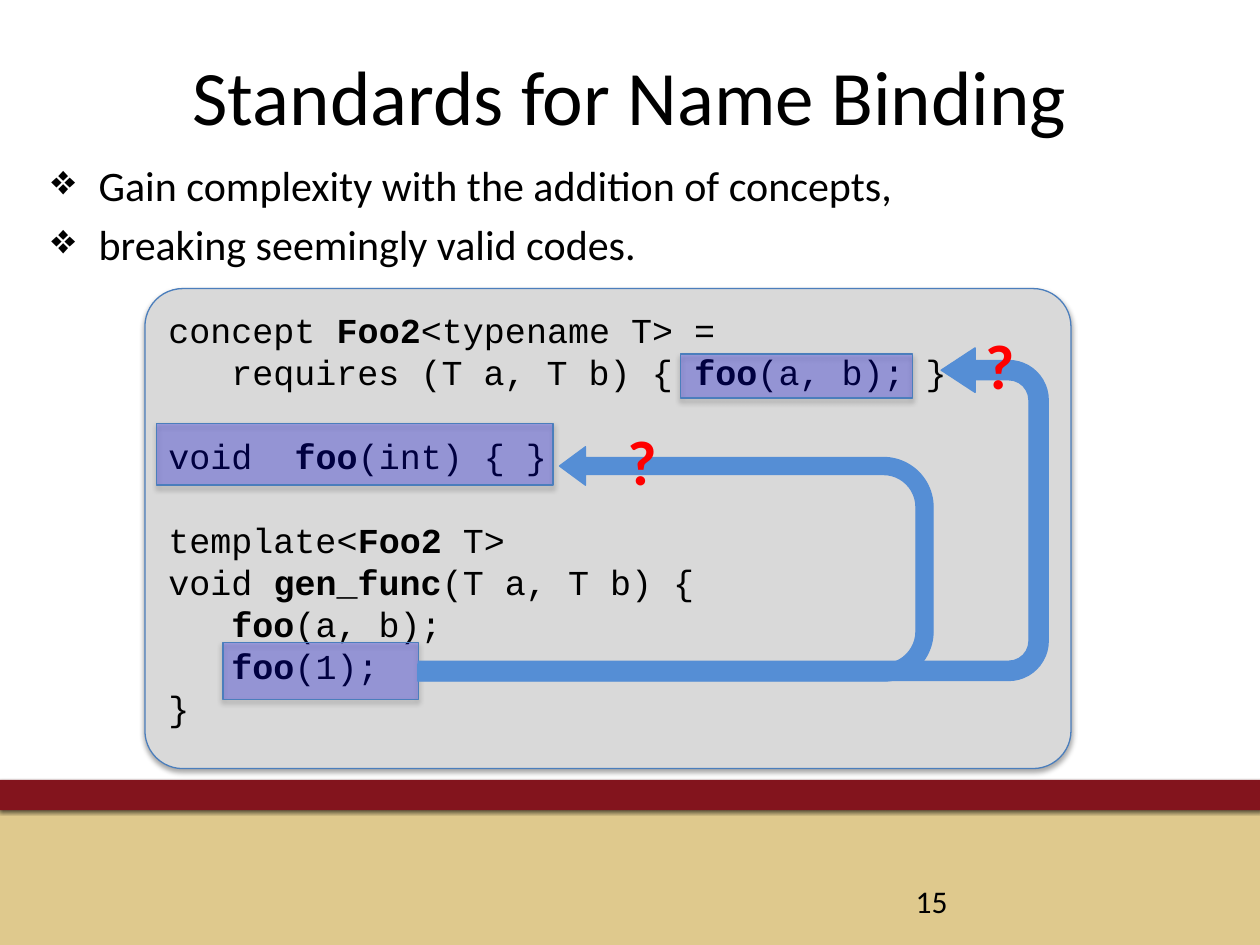
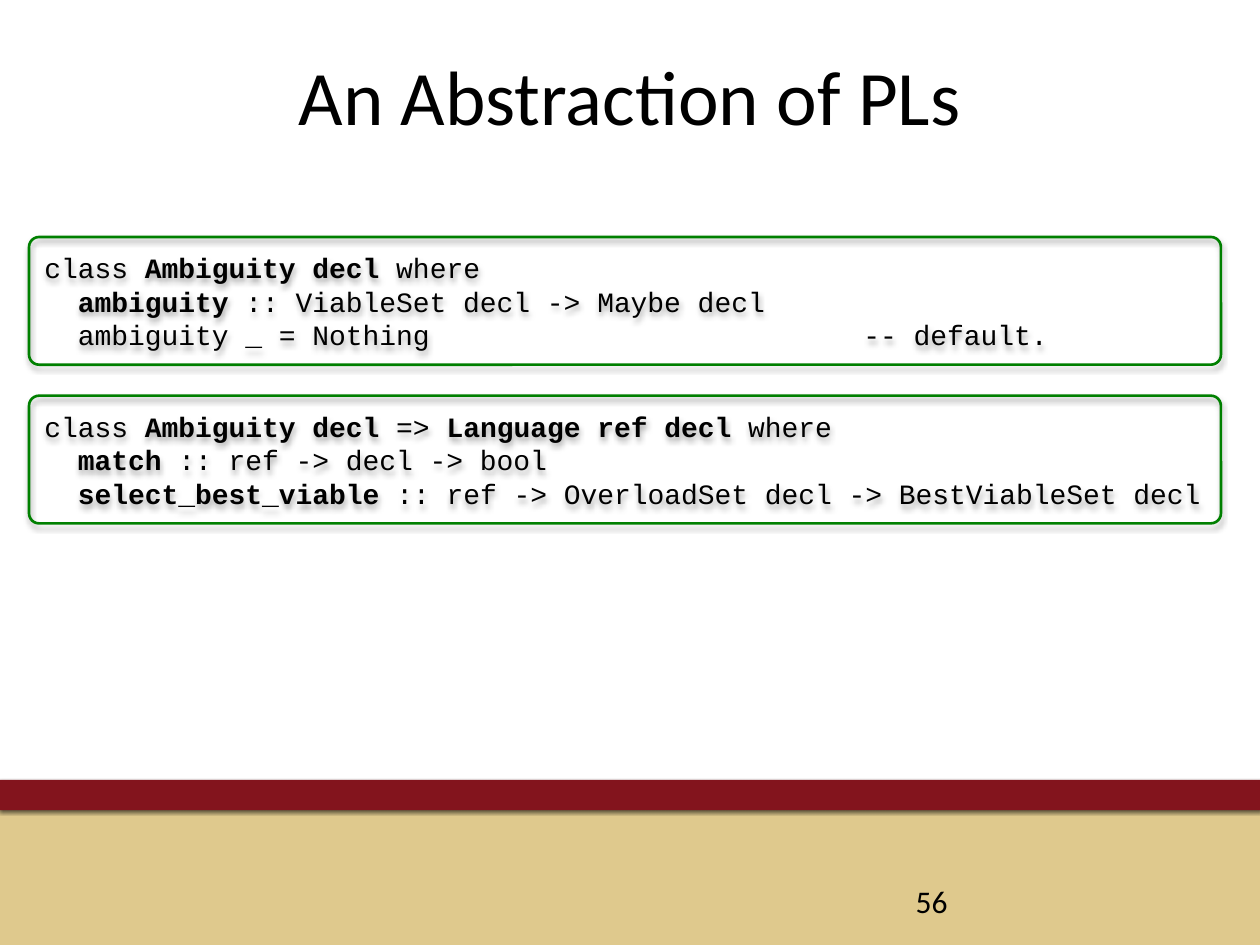
from pptx import Presentation
from pptx.dml.color import RGBColor
from pptx.enum.shapes import MSO_SHAPE as Preset
from pptx.enum.text import MSO_ANCHOR as Anchor, PP_ALIGN as Align
from pptx.oxml.ns import qn
from pptx.util import Pt
from lxml.etree import SubElement

BLACK, RED, GREEN = "000000", "FF0000", "008000"
SAND, MAROON, GREY = "DFC98D", "83141D", "D9D9D9"
EDGE, HIGHLIGHT, ARROW = "4B7EBC", "0000FF", "558ED5"
SANS, MONO = "Calibri", "Courier New"
# Shadows: opacity %, blur, distance, direction in degrees
SOFT, STRIPE_SHADOW = (35, 3.1, 1.8, 90), (60, 2, 1, 105)
LINE_PITCH = 1.2
TAB_INDENT = 36

CONCEPT_CODE = """concept *Foo2*<typename T> =
\trequires (T a, T b) { *foo*(a, b); }

void  *foo*(int) { }

template<*Foo2* T>
void *gen_func*(T a, T b) {
\t*foo*(a, b);
\t*foo*(1);
}"""
AMBIGUITY_CODE = """class *Ambiguity decl* where
  *ambiguity* :: ViableSet decl -> Maybe decl
  ambiguity _ = Nothing\t-- default."""
LANGUAGE_CODE = """class *Ambiguity decl* => *Language ref decl* where
  *match* :: ref -> decl -> bool
  *select_best_viable* :: ref -> OverloadSet decl -> BestViableSet decl"""


def color(hex_text):
    return RGBColor.from_string(hex_text)


def points(*lengths):
    return [Pt(length) for length in lengths]


def add_shadow(shape, opacity, blur, distance, direction):
    effects = shape._element.spPr.find(qn("a:effectLst"))
    outer = SubElement(effects, qn("a:outerShdw"), blurRad=str(Pt(blur)),
                       dist=str(Pt(distance)), dir=str(direction * 60000),
                       algn="ctr", rotWithShape="0")
    tint = SubElement(outer, qn("a:srgbClr"), val=BLACK)
    SubElement(tint, qn("a:alpha"), val=str(opacity * 1000))


def add_preset(page, preset, frame, fill=None, line=None, width=0.75,
               shadow=None, adjust=()):
    shape = page.shapes.add_shape(preset, *points(*frame))
    shape.shadow.inherit = False
    if fill:
        shape.fill.solid()
        shape.fill.fore_color.rgb = color(fill)
    else:
        shape.fill.background()
    if line:
        shape.line.color.rgb = color(line)
        shape.line.width = Pt(width)
    else:
        shape.line.fill.background()
    if shadow:
        add_shadow(shape, *shadow)
    for index, value in enumerate(adjust):
        shape.adjustments[index] = value
    return shape


def style(para, size, face=SANS, tint=BLACK, bold=False):
    para.font.size = Pt(size)
    para.font.name = face
    para.font.color.rgb = color(tint)
    if bold:
        para.font.bold = True


def add_label(page, frame, text, size, tint=BLACK, bold=False,
              anchor=Anchor.TOP, align=Align.LEFT):
    box = page.shapes.add_textbox(*points(*frame))
    box.text_frame.word_wrap = True
    box.text_frame.vertical_anchor = anchor
    para = box.text_frame.paragraphs[0]
    para.text = text
    para.alignment = align
    style(para, size, SANS, tint, bold)
    return box


def add_bullets(page, frame, lines):
    box = page.shapes.add_textbox(*points(*frame))
    body = box.text_frame
    body.word_wrap = True
    for index, line in enumerate(lines):
        para = body.add_paragraph() if index else body.paragraphs[0]
        para.text = line
        props = para._p.get_or_add_pPr()
        props.set("marL", str(Pt(27)))
        props.set("indent", str(Pt(-27)))
        SubElement(props, qn("a:buChar"), char="❖")
        if index:
            para.space_before = Pt(4.8)
        style(para, 24)


def add_code(shape, code, size, tab, anchor):
    """Write code lines; *stars* mark bold, an empty line widens the gap."""
    body = shape.text_frame
    body.word_wrap = True
    body.vertical_anchor = anchor
    pitch = size * LINE_PITCH
    para, gap = None, 0
    for line in code.split("\n"):
        if not line:
            gap = pitch
            continue
        para = body.add_paragraph() if para else body.paragraphs[0]
        para.alignment = Align.LEFT
        para.line_spacing = Pt(pitch)
        if gap:
            para.space_before = Pt(gap)
            gap = 0
        if "\t" in line:
            stops = SubElement(para._p.get_or_add_pPr(), qn("a:tabLst"))
            SubElement(stops, qn("a:tab"), pos=str(Pt(tab)), algn="l")
        style(para, size, MONO)
        for index, piece in enumerate(line.split("*")):
            if piece:
                span = para.add_run()
                span.text = piece
                if index % 2:
                    span.font.bold = True


def add_page(deck, title, number):
    """Start a slide with the shared bands, title and slide number."""
    page = deck.slides.add_slide(deck.slide_layouts[6])
    add_preset(page, Preset.RECTANGLE, (0, 463, 720, 77), SAND)
    add_preset(page, Preset.RECTANGLE, (0, 445.7, 720.5, 17.3), MAROON,
               shadow=STRIPE_SHADOW)
    heading = add_label(page, (36, 21.6, 648, 90), title, 44,
                        align=Align.CENTER)
    heading.text_frame.margin_top = Pt(6)
    add_label(page, (516.2, 500.4, 167.8, 28.8), number, 18,
              anchor=Anchor.MIDDLE)
    return page


def add_binding_diagram(page, left, top, width, height):
    panel = add_preset(page, Preset.ROUNDED_RECTANGLE,
                       (left, top, width, height), GREY, EDGE,
                       shadow=SOFT, adjust=[0.079])
    panel.text_frame.margin_top = Pt(5)
    add_code(panel, CONCEPT_CODE, 20, TAB_INDENT, Anchor.TOP)

    # Highlights over the call, the declaration and the requirement
    for x, y, w, h in [(44.6, 202.3, 111.6, 32.4), (6.5, 77, 226.8, 35.3),
                       (306, 37.4, 132.5, 25.2)]:
        mark = add_preset(page, Preset.RECTANGLE, (left + x, top + y, w, h),
                          HIGHLIGHT, EDGE, shadow=SOFT)
        tint = mark._element.spPr.find(qn("a:solidFill"))[0]
        SubElement(tint, qn("a:alpha"), val="25000")

    # Arrows from the call to its two candidates
    for x, y, w, h, adjust in [
            (236.2, 10.1, 133.9, 294.5, (0.073, 0.082, 0.111, 0.212, 0.725)),
            (241.2, -51.1, 190.1, 360, (0.058, 0.067, 0.102, 0.119, 0.17))]:
        arrow = add_preset(page, Preset.U_TURN_ARROW,
                           (left + x, top + y, w, h), ARROW, ARROW,
                           adjust=adjust)
        arrow.rotation = 90
        arrow._element.spPr.xfrm.set("flipH", "1")

    # Question marks at the arrowheads
    for x, y in [(473, 18), (268.6, 72.7)]:
        add_label(page, (left + x, top + y, 37.4, 51.1), "?", 36, RED, True)


def add_class_box(page, frame, code):
    box = add_preset(page, Preset.ROUNDED_RECTANGLE, frame, line=GREEN,
                     width=1.5, shadow=SOFT, adjust=[0.079])
    add_code(box, code, 16, 13 * TAB_INDENT, Anchor.MIDDLE)


def binding_slide(deck):
    page = add_page(deck, "Standards for Name Binding", "15")
    add_bullets(page, (22.3, 87.8, 674.6, 388), [
        "Gain complexity with the addition of concepts,",
        "breaking seemingly valid codes."])
    add_binding_diagram(page, 82.8, 164.9, 529.2, 274.3)


def abstraction_slide(deck):
    page = add_page(deck, "An Abstraction of PLs", "56")
    for row, code in enumerate([AMBIGUITY_CODE, LANGUAGE_CODE]):
        add_class_box(page, (16.6, 135.4 + row * 90.7, 681.1, 73), code)


def main():
    deck = Presentation()
    deck.slide_width, deck.slide_height = points(720, 540)
    binding_slide(deck)
    abstraction_slide(deck)
    deck.save("out.pptx")


if __name__ == "__main__":
    main()
